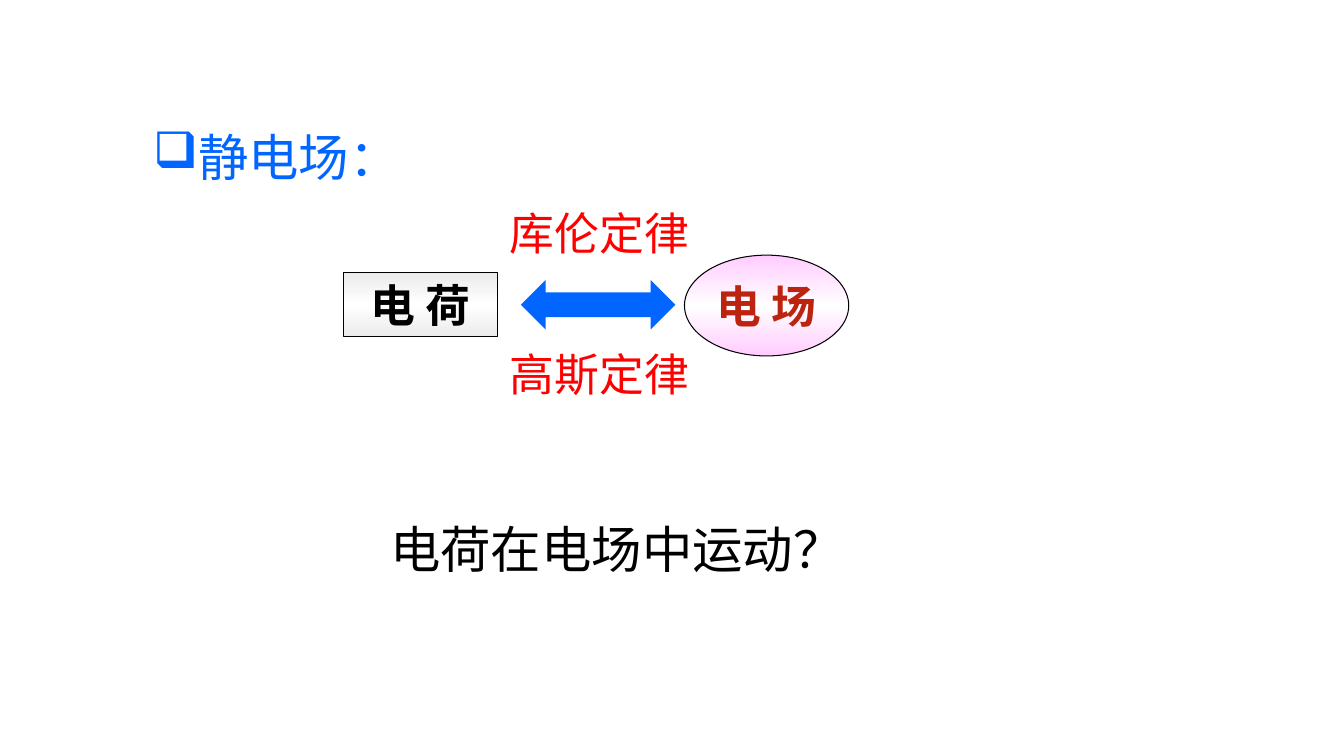
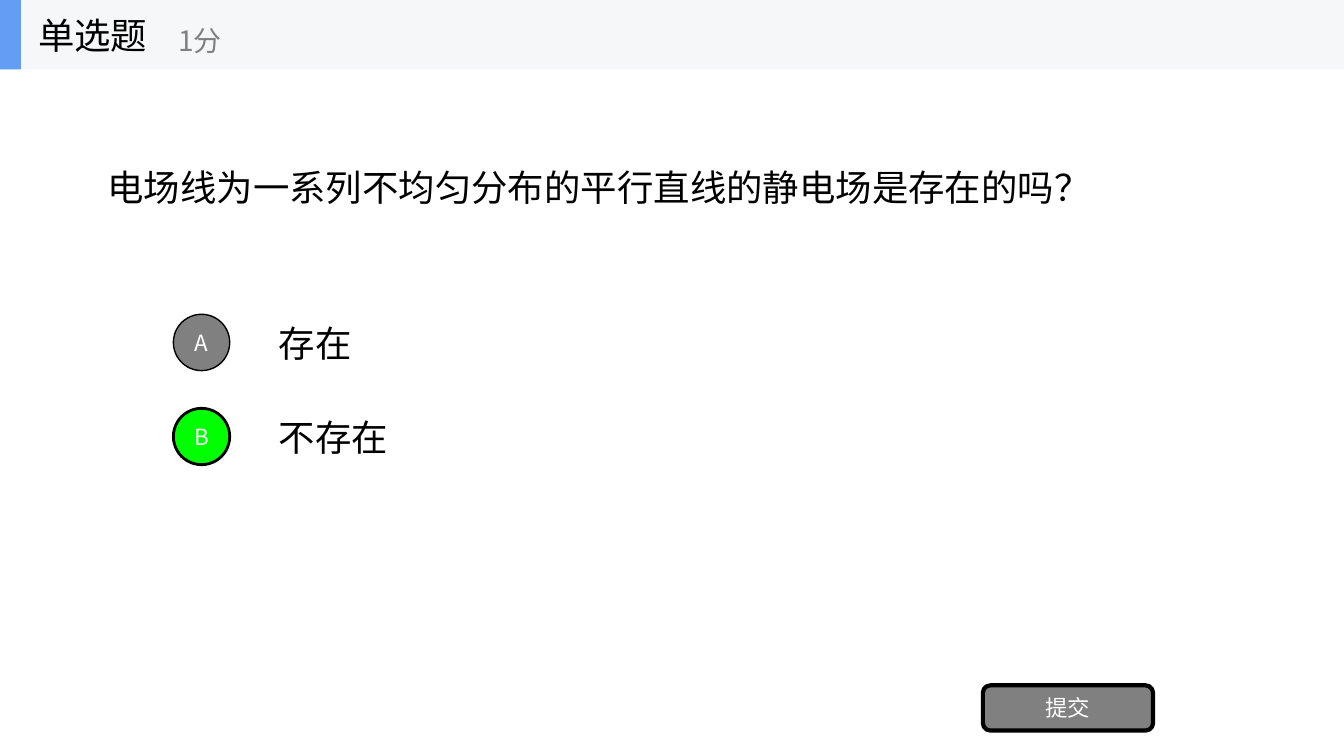
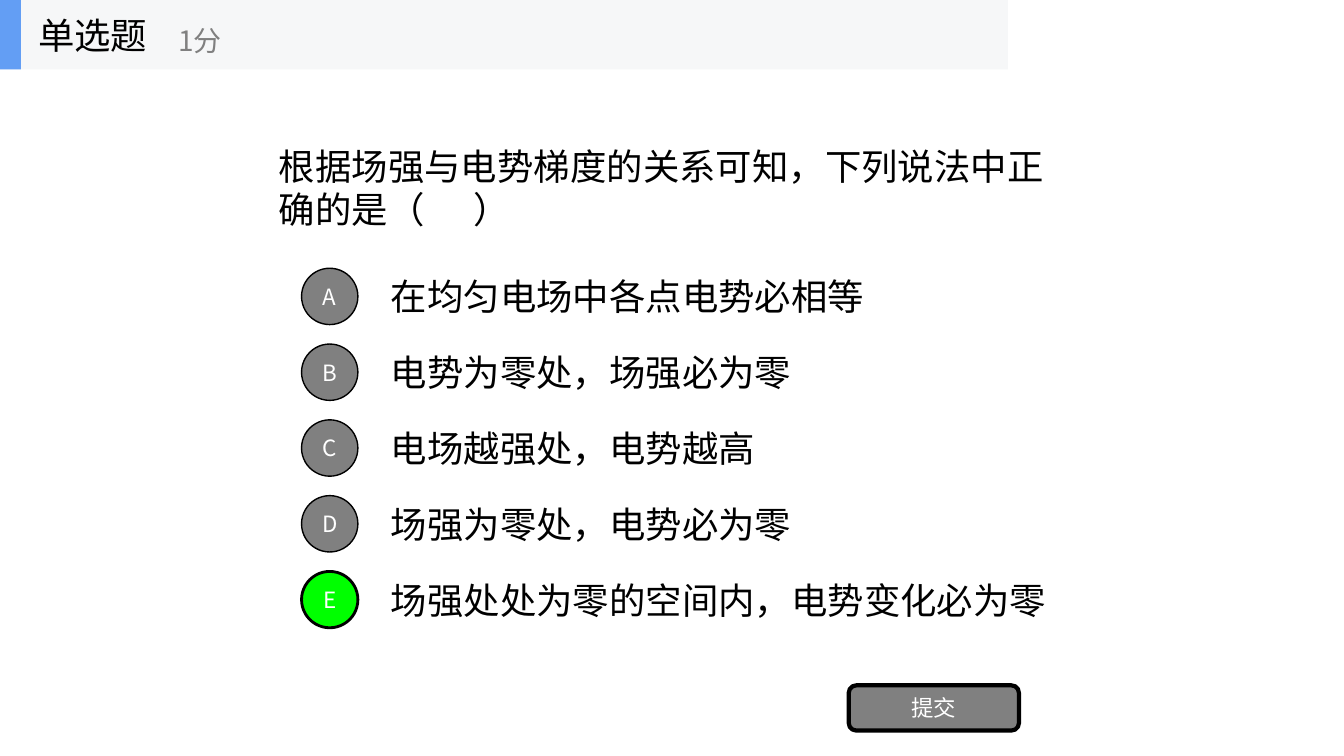
from copy import deepcopy

from lxml import etree
from pptx import Presentation
from pptx import util as u
from pptx.dml.color import RGBColor
from pptx.enum import shapes, text
from pptx.oxml.ns import qn

FONT = "Noto Sans CJK SC"
BLACK = RGBColor(0x00, 0x00, 0x00)
WHITE = RGBColor(0xFF, 0xFF, 0xFF)
GRAY = RGBColor(0x80, 0x80, 0x80)
SILVER = RGBColor(0xEB, 0xEB, 0xEB)
PINK = RGBColor(0xFF, 0xCC, 0xFF)
RED = RGBColor(0xFF, 0x00, 0x00)
BRICK = RGBColor(0xBD, 0x24, 0x0F)
BLUE = RGBColor(0x00, 0x66, 0xFF)
GREEN = RGBColor(0x00, 0xFF, 0x00)
BAND = RGBColor(0xF6, 0xF7, 0xF8)
ACCENT = RGBColor(0x63, 0x9E, 0xF4)

SHAPE = shapes.MSO_SHAPE
MIDDLE = text.MSO_ANCHOR.MIDDLE
TOP = text.MSO_ANCHOR.TOP
CENTER = text.PP_ALIGN.CENTER
LEFT = text.PP_ALIGN.LEFT

SLIDE_WIDTH = 33.87
BAND_HEIGHT = 1.75
CIRCLE = 1.42
OPTION_HEIGHT = 1.78
BLANK_SPACING = 2900


def draw(slide, kind, box, fill, line_width=0):
    shape = slide.shapes.add_shape(kind, *map(u.Cm, box))
    shape.shadow.inherit = False
    shape.fill.solid()
    shape.fill.fore_color.rgb = fill
    if line_width:
        shape.line.color.rgb = BLACK
        shape.line.width = u.Pt(line_width)
    else:
        shape.line.fill.background()
    return shape


def write(shape, pieces, size, color, bold=False, align=LEFT, anchor=MIDDLE, wrap=True):
    frame = shape.text_frame
    frame.word_wrap = wrap
    frame.vertical_anchor = anchor
    paragraph = frame.paragraphs[0]
    paragraph.alignment = align
    for piece in pieces:
        run = paragraph.add_run()
        run.text = piece
        run.font.size = u.Pt(size)
        run.font.bold = bold
        run.font.color.rgb = color
        run.font.name = FONT
        properties = run.font._element
        etree.SubElement(properties, qn("a:ea"), typeface=FONT)
        if piece == " ":
            properties.set("spc", str(BLANK_SPACING))
    return paragraph


presentation = Presentation()
presentation.slide_width = u.Cm(SLIDE_WIDTH)
presentation.slide_height = u.Cm(19.05)
blank = presentation.slide_layouts[6]

slide = presentation.slides.add_slide(blank)

heading = slide.shapes.add_textbox(u.Cm(3.61), u.Cm(3.05), u.Cm(6.4), u.Cm(1.8))
paragraph = write(heading, ["静电场："], 36, BLUE, anchor=TOP)
properties = paragraph._p.get_or_add_pPr()
properties.set("marL", str(u.Cm(0.79)))
properties.set("indent", str(-u.Cm(0.79)))
etree.SubElement(properties, qn("a:buChar"), char="❑")

prompt = slide.shapes.add_textbox(u.Cm(9.58), u.Cm(12.93), u.Cm(11.13), u.Cm(1.8))
write(prompt, ["电荷在电场中运动？"], 36, BLACK, anchor=TOP)

for kind, box, edge, label, color in [
    (SHAPE.RECTANGLE, (8.66, 6.86, 3.89, 1.63), SILVER, "电 荷", BLACK),
    (SHAPE.OVAL, (17.25, 6.43, 4.14, 2.54), PINK, "电 场", BRICK),
]:
    node = draw(slide, kind, box, WHITE, 0.75)
    node.fill.gradient()
    node.fill.gradient_angle = 90
    first_stop = node._element.spPr.find(".//" + qn("a:gs"))
    first_stop.addnext(deepcopy(first_stop))
    for stop, position, tint in zip(node.fill.gradient_stops, (0, 0.5, 1), (edge, WHITE, edge)):
        stop.position = position
        stop.color.rgb = tint
    write(node, [label], 32, color, bold=True, align=CENTER, wrap=False)

for top, law in [(5.05, "库伦定律"), (8.61, "高斯定律")]:
    label = slide.shapes.add_textbox(u.Cm(12.6), u.Cm(top), u.Cm(5.08), u.Cm(1.63))
    write(label, [law], 32, RED, anchor=TOP, wrap=False)

draw(slide, SHAPE.LEFT_RIGHT_ARROW, (13.13, 7.06, 3.89, 1.24), BLUE)

questions = [
    {
        "band_width": SLIDE_WIDTH,
        "question": ["电场线为一系列不均匀分布的平行直线的静电场是存在的吗？"],
        "question_left": 2.46,
        "question_width": 27.1,
        "options": ["存在", "不存在"],
        "answer": "B",
        "circle_left": 4.37,
        "option_left": 6.78,
        "option_width": 23.7,
        "option_top": 7.74,
        "step": 2.37,
        "submit_left": 24.77,
    },
    {
        "band_width": 25.4,
        "question": ["根据场强与电势梯度的关系可知，下列说法中正确的是（", " ", "）"],
        "question_left": 6.78,
        "question_width": 20.32,
        "options": [
            "在均匀电场中各点电势必相等",
            "电势为零处，场强必为零",
            "电场越强处，电势越高",
            "场强为零处，电势必为零",
            "场强处处为零的空间内，电势变化必为零",
        ],
        "answer": "E",
        "circle_left": 7.6,
        "option_left": 9.6,
        "option_width": 17.78,
        "option_top": 6.58,
        "step": 1.91,
        "submit_left": 21.39,
    },
]

for quiz in questions:
    slide = presentation.slides.add_slide(blank)

    question = slide.shapes.add_textbox(
        u.Cm(quiz["question_left"]), u.Cm(BAND_HEIGHT), u.Cm(quiz["question_width"]), u.Cm(5.94)
    )
    write(question, quiz["question"], 26, BLACK)

    for index, (letter, answer) in enumerate(zip("ABCDE", quiz["options"])):
        top = quiz["option_top"] + index * quiz["step"]
        option = slide.shapes.add_textbox(
            u.Cm(quiz["option_left"]), u.Cm(top), u.Cm(quiz["option_width"]), u.Cm(OPTION_HEIGHT)
        )
        write(option, [answer], 26, BLACK)
        correct = letter == quiz["answer"]
        circle_top = top + (OPTION_HEIGHT - CIRCLE) / 2
        circle = draw(
            slide,
            SHAPE.OVAL,
            (quiz["circle_left"], circle_top, CIRCLE, CIRCLE),
            GREEN if correct else GRAY,
            2 if correct else 1,
        )
        write(circle, [letter], 16, WHITE, align=CENTER)

    submit = draw(slide, SHAPE.ROUNDED_RECTANGLE, (quiz["submit_left"], 17.27, 4.29, 1.14), GRAY, 3)
    write(submit, ["提交"], 16, WHITE, align=CENTER)

    draw(slide, SHAPE.RECTANGLE, (0, 0, quiz["band_width"], BAND_HEIGHT), BAND)
    draw(slide, SHAPE.RECTANGLE, (0, 0, 0.53, BAND_HEIGHT), ACCENT)
    for left, top, width, height, label, size, color in [
        (0.71, 0, 5.28, BAND_HEIGHT, "单选题", 26, BLACK),
        (4.24, 0.3, 6.35, 1.42, "1分", 20, GRAY),
    ]:
        caption = slide.shapes.add_textbox(u.Cm(left), u.Cm(top), u.Cm(width), u.Cm(height))
        write(caption, [label], size, color, wrap=False)

presentation.save("out.pptx")
